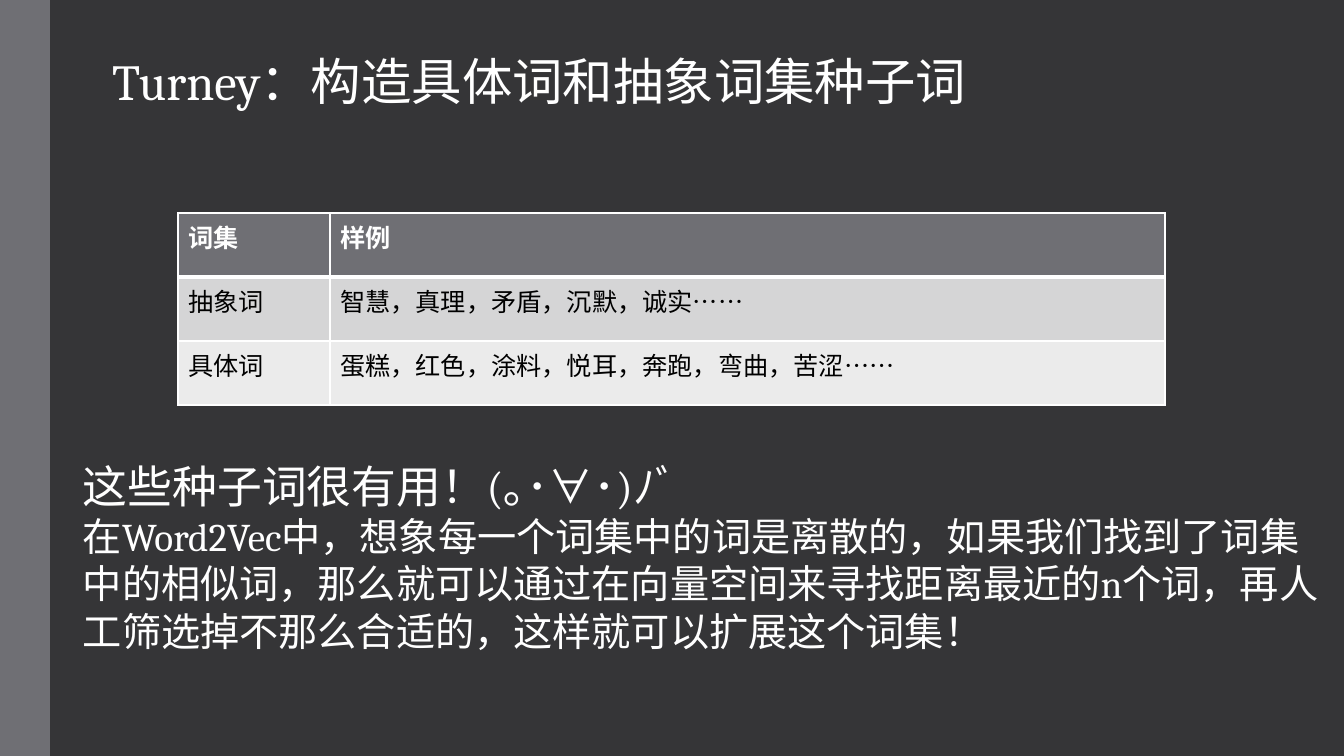
from dataclasses import dataclass

from lxml.etree import SubElement
from pptx import Presentation
from pptx.dml.color import RGBColor
from pptx.enum.shapes import MSO_SHAPE
from pptx.enum.text import MSO_ANCHOR, MSO_AUTO_SIZE as AutoSize, PP_ALIGN
from pptx.oxml.ns import qn
from pptx.util import Emu, Pt


@dataclass(frozen=True)
class Theme:
    background: str = "353537"
    accent: str = "6F6F74"
    light: str = "FFFFFF"
    dark: str = "000000"
    bands: tuple = ("D5D5D6", "EBEBEB")
    serif: str = "Cambria"
    sans: str = "Noto Sans CJK SC"
    title_size: int = 36
    lead_size: int = 32
    body_size: int = 28
    cell_size: int = 18


THEME = Theme()
SLIDE_W, SLIDE_H = 1344, 756
EMU_PER_PX = 12192000 / SLIDE_W

SEED_WORDS = [
    ("词集", "样例"),
    ("抽象词", "智慧，真理，矛盾，沉默，诚实……"),
    ("具体词", "蛋糕，红色，涂料，悦耳，奔跑，弯曲，苦涩……"),
]
EXPLANATION = [
    ("这些种子词很有用！(｡･∀･)ﾉﾞ", THEME.lead_size),
    ("在Word2Vec中，想象每一个词集中的词是离散的，如果我们找到了词集中的相似词，"
     "那么就可以通过在向量空间来寻找距离最近的n个词，再人工筛选掉不那么合适的，"
     "这样就可以扩展这个词集！", THEME.body_size),
]


def px(length):
    return Emu(round(length * EMU_PER_PX))


def rgb(color):
    return RGBColor.from_string(color)


def add_run(paragraph, text, size, color=THEME.light, font=THEME.serif, bold=False):
    run = paragraph.add_run()
    run.text = text
    run.font.size, run.font.bold, run.font.name = Pt(size), bold, font
    run.font.color.rgb = rgb(color)
    # East Asian glyphs take the sans face
    SubElement(run.font._element, qn("a:ea"), typeface=THEME.sans)


def add_side_bar(slide):
    bar = slide.shapes.add_shape(MSO_SHAPE.RECTANGLE, 0, 0, px(50), px(SLIDE_H))
    bar.shadow.inherit = False
    bar.fill.solid()
    bar.fill.fore_color.rgb = rgb(THEME.accent)
    bar.line.fill.background()


def set_title(slide, text):
    title = slide.shapes.title
    title.left, title.top, title.width, title.height = map(px, (102, 45, 904, 72))
    frame = title.text_frame
    frame.word_wrap = False
    frame.auto_size = AutoSize.NONE
    frame.vertical_anchor = MSO_ANCHOR.TOP
    heading = frame.paragraphs[0]
    heading.alignment = PP_ALIGN.LEFT
    add_run(heading, text, THEME.title_size)


def set_borders(cell, bottom=1, top=1):
    properties = cell._tc.get_or_add_tcPr()
    widths = (("a:lnL", 1), ("a:lnR", 1), ("a:lnT", top), ("a:lnB", bottom))
    for position, (side, width) in enumerate(widths):
        border = SubElement(properties, qn(side), w=str(Pt(width)))
        SubElement(SubElement(border, qn("a:solidFill")), qn("a:srgbClr"), val=THEME.light)
        properties.insert(position, border)


def add_word_table(slide, rows):
    column_widths, row_height = (152, 835), 64
    table = slide.shapes.add_table(
        len(rows), len(column_widths), px(178), px(213),
        px(sum(column_widths)), px(row_height * len(rows))).table
    for column, width in zip(table.columns, column_widths):
        column.width = px(width)
    for r, words in enumerate(rows):
        is_header = r == 0
        fill = THEME.accent if is_header else THEME.bands[(r - 1) % 2]
        for c, text in enumerate(words):
            cell = table.cell(r, c)
            cell.fill.solid()
            cell.fill.fore_color.rgb = rgb(fill)
            # Thick rule between header and body
            set_borders(cell, bottom=3 if is_header else 1, top=3 if r == 1 else 1)
            add_run(cell.text_frame.paragraphs[0], text, THEME.cell_size,
                    THEME.light if is_header else THEME.dark, THEME.sans, is_header)


def add_explanation(slide, lines):
    frame = slide.shapes.add_textbox(px(73), px(454), px(1256), px(207)).text_frame
    frame.word_wrap = True
    for i, (text, size) in enumerate(lines):
        paragraph = frame.add_paragraph() if i else frame.paragraphs[0]
        add_run(paragraph, text, size)


def main():
    deck = Presentation()
    deck.slide_width, deck.slide_height = px(SLIDE_W), px(SLIDE_H)
    slide = deck.slides.add_slide(deck.slide_layouts[5])
    slide.background.fill.solid()
    slide.background.fill.fore_color.rgb = rgb(THEME.background)

    add_side_bar(slide)
    set_title(slide, "Turney：构造具体词和抽象词集种子词")
    add_word_table(slide, SEED_WORDS)
    add_explanation(slide, EXPLANATION)
    deck.save("out.pptx")


if __name__ == "__main__":
    main()
